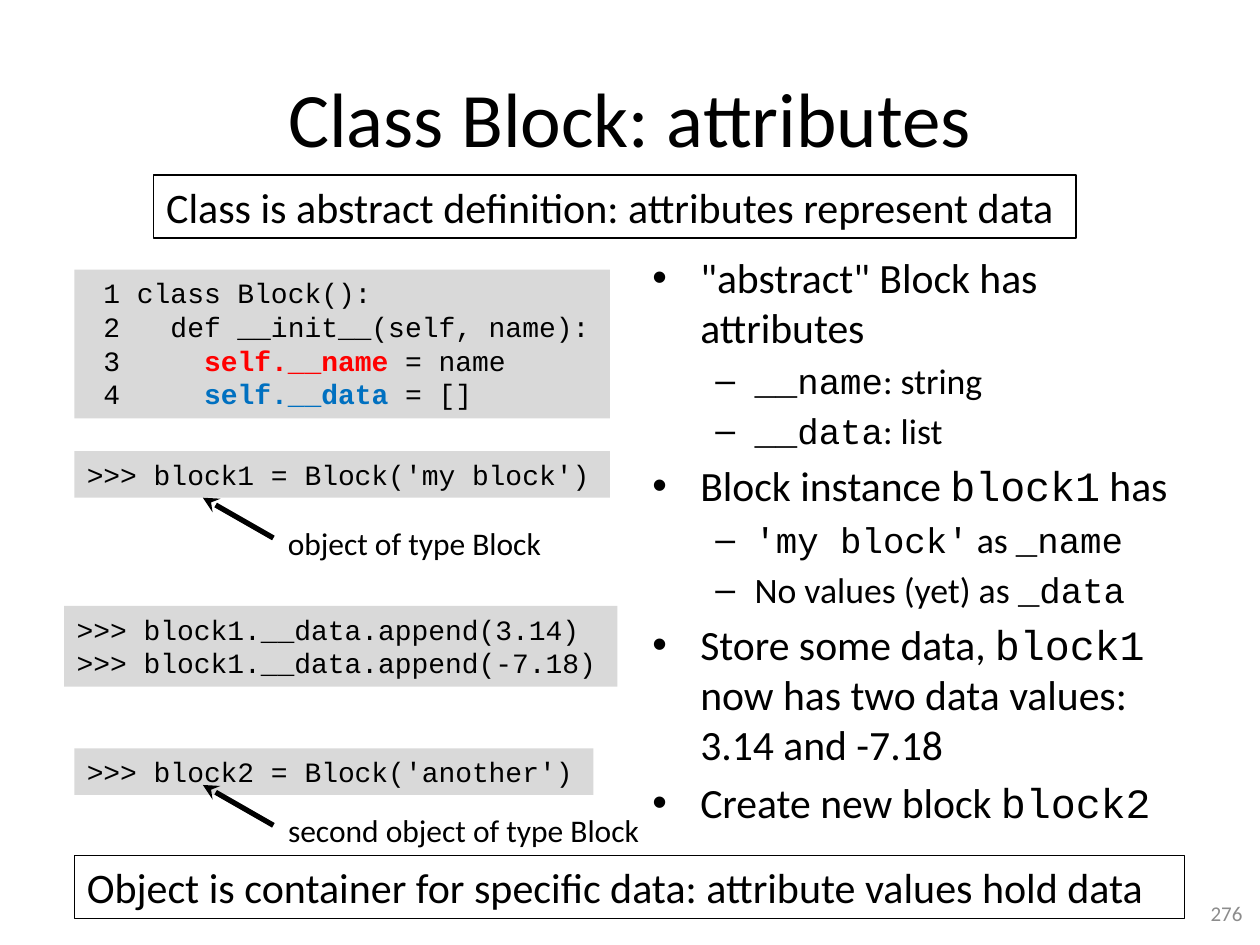
from lxml import etree
from pptx import Presentation
from pptx.dml.color import RGBColor
from pptx.enum import shapes, text
from pptx.oxml import ns
from pptx.util import Inches, Pt

BLACK = RGBColor(0x00, 0x00, 0x00)
CODE_GREY = RGBColor(0xD9, 0xD9, 0xD9)
NUMBER_GREY = RGBColor(0x8C, 0x8C, 0x8C)
RED = RGBColor(0xFF, 0x00, 0x00)
BLUE = RGBColor(0x00, 0x70, 0xC0)
SANS = "Calibri"
MONO = "Courier New"


class AttributeSlide:
    # Per outline level: bullet, text size, left margin, hanging indent, space before
    LEVELS = [("•", 23.8, 0.38, 0.38, 4.8), ("–", 20.4, 0.81, 0.31, 4.1)]

    def __init__(self, deck):
        self.slide = deck.slides.add_slide(deck.slide_layouts[5])

    def run(self, paragraph, words, size, font=SANS, color=BLACK, bold=False):
        run = paragraph.add_run()
        run.text = words
        run.font.size = Pt(size)
        run.font.name = font
        run.font.color.rgb = color
        run.font.bold = bold

    def title(self, words):
        title = self.slide.shapes.title
        title.left, title.top = Inches(0.5), Inches(0.3)
        title.width, title.height = Inches(9), Inches(1.25)
        frame = title.text_frame
        frame.vertical_anchor = text.MSO_ANCHOR.MIDDLE
        paragraph = frame.paragraphs[0]
        paragraph.alignment = text.PP_ALIGN.CENTER
        self.run(paragraph, words, 44)

    def box(self, left, top, width, height, wrap=False):
        box = self.slide.shapes.add_textbox(
            Inches(left), Inches(top), Inches(width), Inches(height))
        box.text_frame.word_wrap = wrap
        if not wrap:
            box.text_frame.auto_size = text.MSO_AUTO_SIZE.SHAPE_TO_FIT_TEXT
        return box

    def paragraphs(self, frame, count):
        for _ in range(count - 1):
            frame.add_paragraph()
        return frame.paragraphs

    def code(self, left, top, width, height, lines):
        """Each line is a list of (words, highlight colour or None)."""
        box = self.box(left, top, width, height)
        box.fill.solid()
        box.fill.fore_color.rgb = CODE_GREY
        for paragraph, line in zip(self.paragraphs(box.text_frame, len(lines)), lines):
            for words, highlight in line:
                self.run(paragraph, words, 16, MONO, highlight or BLACK,
                         bold=highlight is not None)

    def statement(self, left, top, width, words):
        box = self.box(left, top, width, 0.5)
        box.line.color.rgb = BLACK
        box.line.width = Pt(0.75)
        self.run(box.text_frame.paragraphs[0], words, 24)

    def callout(self, code_bottom, width, words):
        """A label with an arrow up to the code above it."""
        arrow = self.slide.shapes.add_connector(
            shapes.MSO_CONNECTOR.STRAIGHT, Inches(2.17), Inches(code_bottom + 0.32),
            Inches(1.61), Inches(code_bottom))
        arrow.line.color.rgb = BLACK
        arrow.line.width = Pt(3)
        etree.SubElement(arrow.line._get_or_add_ln(), ns.qn("a:tailEnd"), type="stealth")
        etree.SubElement(arrow._element.spPr, ns.qn("a:effectLst"))
        label = self.box(2.17, code_bottom + 0.16, width, 0.4)
        paragraph = label.text_frame.paragraphs[0]
        paragraph.alignment = text.PP_ALIGN.CENTER
        self.run(paragraph, words, 18)

    def outline(self, left, top, width, height, points):
        """Each point is a level and a list of (words, font)."""
        frame = self.box(left, top, width, height, wrap=True).text_frame
        rows = self.paragraphs(frame, len(points))
        for index, (paragraph, (level, parts)) in enumerate(zip(rows, points)):
            bullet, size, margin, hanging, space = self.LEVELS[level]
            paragraph.level = level
            properties = paragraph._p.get_or_add_pPr()
            properties.set("marL", str(Inches(margin)))
            properties.set("indent", str(-Inches(hanging)))
            etree.SubElement(properties, ns.qn("a:buFont"), typeface="Arial")
            etree.SubElement(properties, ns.qn("a:buChar"), char=bullet)
            if index:
                paragraph.space_before = Pt(space)
            for words, font in parts:
                self.run(paragraph, words, size, font)

    def page_number(self, number):
        frame = self.box(7.63, 7.05, 2.33, 0.4, wrap=True).text_frame
        frame.vertical_anchor = text.MSO_ANCHOR.MIDDLE
        paragraph = frame.paragraphs[0]
        paragraph.alignment = text.PP_ALIGN.RIGHT
        self.run(paragraph, number, 12, color=NUMBER_GREY)


def main():
    deck = Presentation()
    deck.slide_width, deck.slide_height = Inches(10), Inches(7.5)
    page = AttributeSlide(deck)
    page.title("Class Block: attributes")
    page.outline(5.08, 1.95, 4.42, 4.95, [
        (0, [("\"abstract\" Block has attributes", SANS)]),
        (1, [("__name", MONO), (": string", SANS)]),
        (1, [("__data", MONO), (": list", SANS)]),
        (0, [("Block instance ", SANS), ("block1", MONO), (" has", SANS)]),
        (1, [("'my block'", MONO), (" as ", SANS), ("_name", MONO)]),
        (1, [("No values (yet) as ", SANS), ("_data", MONO)]),
        (0, [("Store some data, ", SANS), ("block1", MONO),
             (" now has two data values: 3.14 and -7.18", SANS)]),
        (0, [("Create new block ", SANS), ("block2", MONO)]),
    ])
    page.code(0.59, 2.14, 4.25, 1.18, [
        [(" 1 class Block():", None)],
        [(" 2   def __init__(self, name):", None)],
        [(" 3     ", None), ("self.__name ", RED), ("= name", None)],
        [(" 4     ", None), ("self.__data ", BLUE), ("= []", None)],
    ])
    page.code(0.59, 3.58, 4.25, 0.37, [[(">>> block1 = Block('my block')", None)]])
    page.code(0.51, 4.81, 4.39, 0.64, [
        [(">>> block1.__data.append(3.14)", None)],
        [(">>> block1.__data.append(-7.18)", None)],
    ])
    page.code(0.59, 5.94, 4.12, 0.37, [[(">>> block2 = Block('another')", None)]])
    page.statement(0.59, 6.79, 8.81,
                   "Object is container for specific data: attribute values hold data")
    page.callout(3.95, 2.24, "object of type Block")
    page.callout(6.23, 3.02, "second object of type Block")
    page.statement(1.22, 1.39, 7.32,
                   "Class is abstract definition: attributes represent data")
    page.page_number("276")
    deck.save("out.pptx")


if __name__ == "__main__":
    main()
